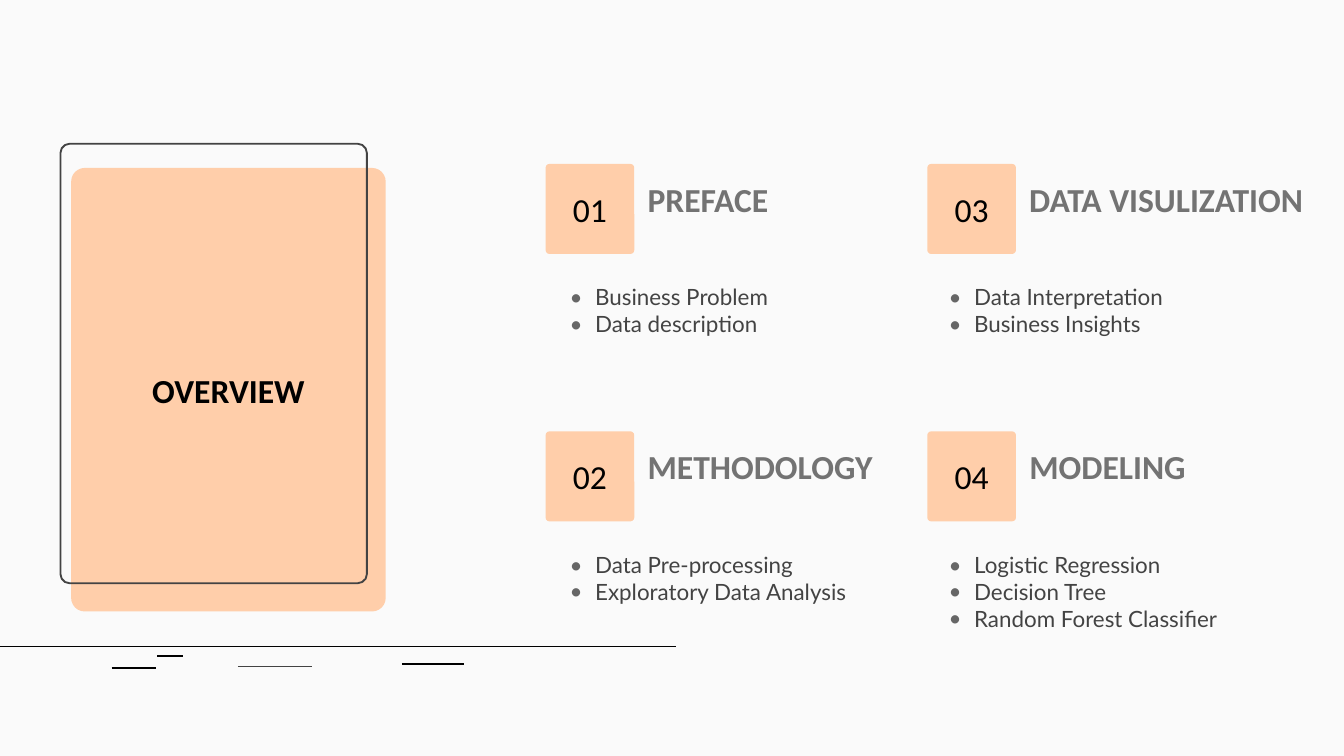
from typing import NamedTuple

from lxml.etree import SubElement
from pptx import Presentation
from pptx.dml.color import RGBColor
from pptx.enum.shapes import MSO_CONNECTOR, MSO_SHAPE
from pptx.enum.text import MSO_ANCHOR, MSO_AUTO_SIZE, PP_ALIGN
from pptx.oxml.ns import qn
from pptx.shapes.autoshape import Shape
from pptx.slide import Slide
from pptx.util import Inches, Pt

COLORS = {
    "background": "FAFAFA",
    "peach": "FFCEAA",
    "black": "000000",
    "heading": "737373",
    "body": "434343",
    "bullet": "666666",
}
FORMATS = {
    "number": {"name": "Calibri", "size": Pt(18), "bold": False},
    "heading": {"name": "Calibri", "size": Pt(18), "bold": True},
    "body": {"name": "Lato", "size": Pt(12), "bold": False},
}
COLUMN_LEFTS = (4.06, 6.9)
LIST_LEFTS = (4.14, 6.96)
ROW_TOPS = (1.22, 3.21)
TILE_WIDTH, TILE_HEIGHT = 0.66, 0.67


class Box(NamedTuple):
    left: float
    top: float
    width: float
    height: float


class Section(NamedTuple):
    column: int
    row: int
    heading: str
    heading_width: float
    topics: tuple[str, ...]


class GroundLine(NamedTuple):
    left: float
    right: float
    top: float
    color: str


SECTIONS = (
    Section(0, 0, "PREFACE", 1.84, ("Business Problem", "Data description")),
    Section(0, 1, "METHODOLOGY", 1.94, ("Data Pre-processing", "Exploratory Data Analysis")),
    Section(1, 0, "DATA VISULIZATION", 2.36, ("Data Interpretation", "Business Insights")),
    Section(1, 1, "MODELING", 2.08, ("Logistic Regression", "Decision Tree", "Random Forest Classifier")),
)
GROUND_LINES = (
    GroundLine(0, 5.03, 4.81, "black"),
    GroundLine(0.83, 1.16, 4.97, "black"),
    GroundLine(1.77, 2.32, 4.96, "body"),
    GroundLine(1.17, 1.36, 4.88, "black"),
    GroundLine(2.99, 3.45, 4.94, "black"),
)
CARD = Box(0.53, 1.25, 2.34, 3.3)
FRAME = Box(0.45, 1.07, 2.28, 3.27)


def rgb(color: str) -> RGBColor:
    return RGBColor.from_string(COLORS[color])


def lengths(box: Box) -> list[int]:
    return [Inches(value) for value in box]


def write(shape: Shape, lines: tuple[str, ...], style: str, color: str,
          anchor: MSO_ANCHOR, alignment: PP_ALIGN) -> None:
    frame = shape.text_frame
    settings = {"word_wrap": True, "auto_size": MSO_AUTO_SIZE.NONE, "vertical_anchor": anchor}
    settings |= {f"margin_{side}": Inches(0.1) for side in ("left", "top", "right", "bottom")}
    for name, value in settings.items():
        setattr(frame, name, value)
    frame.text = "\n".join(lines)
    for paragraph in frame.paragraphs:
        paragraph.alignment = alignment
        font = paragraph.runs[0].font
        for name, value in FORMATS[style].items():
            setattr(font, name, value)
        font.color.rgb = rgb(color)


def add_bullets(shape: Shape) -> None:
    indent = Inches(0.19)
    for paragraph in shape.text_frame.paragraphs:
        properties = paragraph._p.get_or_add_pPr()
        properties.set("marL", str(indent))
        properties.set("indent", str(-indent))
        bullet_color = SubElement(properties, qn("a:buClr"))
        SubElement(bullet_color, qn("a:srgbClr"), val=COLORS["bullet"])
        SubElement(properties, qn("a:buFont"), typeface="Lato")
        SubElement(properties, qn("a:buChar"), char="•")


def add_rounded(slide: Slide, box: Box, fill: str | None = None, radius: float = 0.043) -> Shape:
    shape = slide.shapes.add_shape(MSO_SHAPE.ROUNDED_RECTANGLE, *lengths(box))
    shape.adjustments[0] = radius
    shape.shadow.inherit = False
    if fill:
        shape.fill.solid()
        shape.fill.fore_color.rgb = rgb(fill)
        shape.line.fill.background()
    else:
        shape.fill.background()
        shape.line.color.rgb = rgb("body")
        shape.line.width = Pt(1)
    return shape


def add_section(slide: Slide, number: int, section: Section) -> None:
    left, top = COLUMN_LEFTS[section.column], ROW_TOPS[section.row]
    tile = add_rounded(slide, Box(left, top, TILE_WIDTH, TILE_HEIGHT), "peach")
    write(tile, (f"{number:02}",), "number", "black", MSO_ANCHOR.MIDDLE, PP_ALIGN.CENTER)

    heading_box = Box(left + TILE_WIDTH, top + 0.16, section.heading_width, 0.35)
    heading = slide.shapes.add_textbox(*lengths(heading_box))
    write(heading, (section.heading,), "heading", "heading", MSO_ANCHOR.BOTTOM, PP_ALIGN.LEFT)

    topics_box = Box(LIST_LEFTS[section.column], top + 0.79, 2.34, 0.14 * len(section.topics) + 0.27)
    topics = slide.shapes.add_textbox(*lengths(topics_box))
    write(topics, section.topics, "body", "body", MSO_ANCHOR.TOP, PP_ALIGN.LEFT)
    add_bullets(topics)


def add_overview(slide: Slide) -> None:
    card = add_rounded(slide, CARD, "peach")
    title = slide.shapes.title
    title.left, title.top, title.width, title.height = lengths(CARD)
    write(title, ("OVERVIEW",), "heading", "black", MSO_ANCHOR.MIDDLE, PP_ALIGN.CENTER)
    card.element.addnext(title.element)
    add_rounded(slide, FRAME, radius=0.03)


def add_ground_line(slide: Slide, ground: GroundLine) -> None:
    top = Inches(ground.top)
    line = slide.shapes.add_connector(
        MSO_CONNECTOR.STRAIGHT, Inches(ground.left), top, Inches(ground.right), top)
    line.line.color.rgb = rgb(ground.color)
    line.line.width = Pt(0.75)
    SubElement(line.element.spPr, qn("a:effectLst"))


def main() -> None:
    """Build the overview slide with its four numbered sections."""
    presentation = Presentation()
    presentation.slide_width = Inches(10)
    presentation.slide_height = presentation.slide_width * 9 // 16
    slide = presentation.slides.add_slide(presentation.slide_layouts[5])
    slide.background.fill.solid()
    slide.background.fill.fore_color.rgb = rgb("background")
    for number, section in enumerate(SECTIONS, start=1):
        add_section(slide, number, section)
    add_overview(slide)
    for ground in GROUND_LINES:
        add_ground_line(slide, ground)
    presentation.save("out.pptx")


if __name__ == "__main__":
    main()
